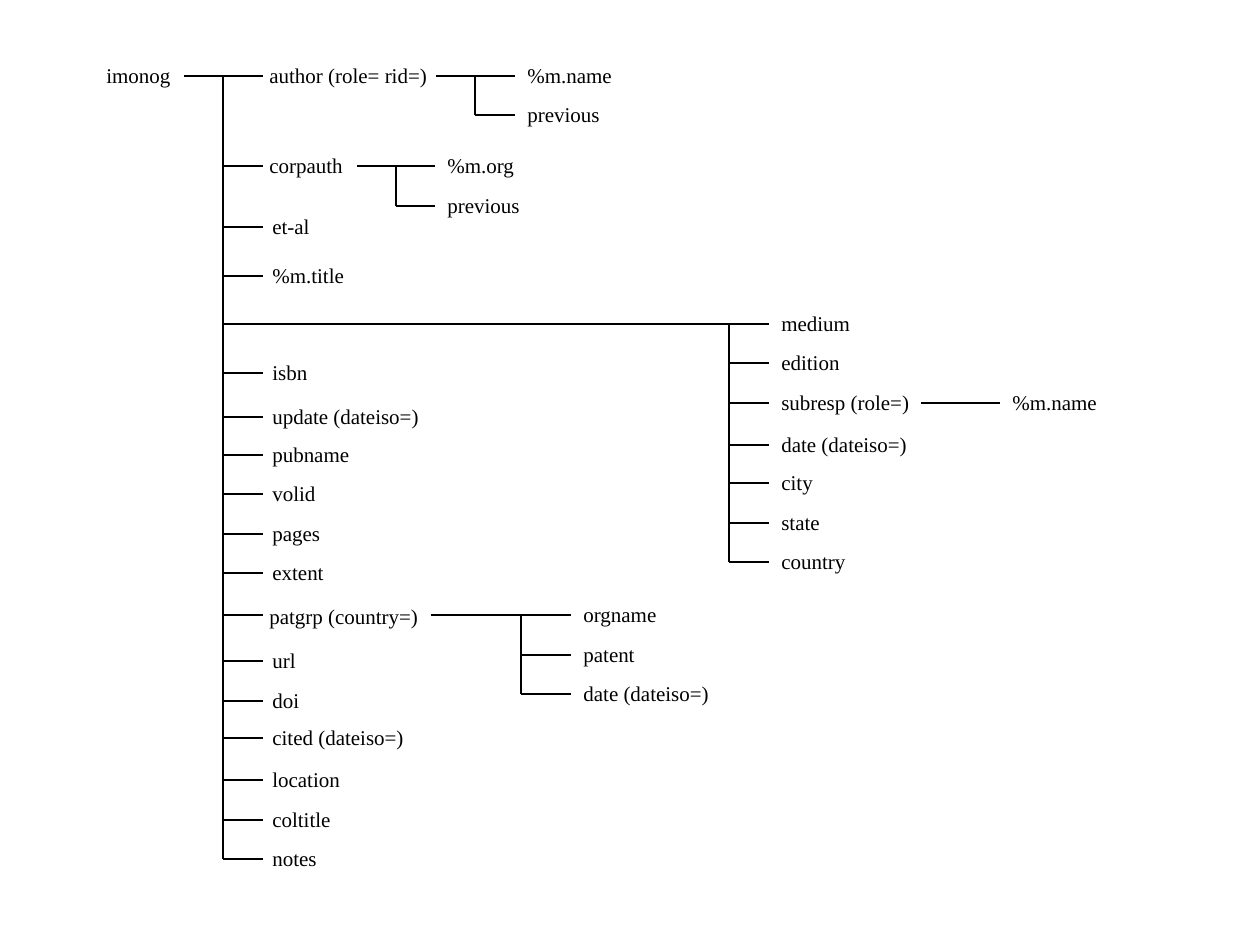
from pptx import Presentation
from pptx.dml.color import RGBColor
from pptx.enum.shapes import MSO_CONNECTOR
from pptx.enum.text import MSO_AUTO_SIZE
from pptx.oxml.ns import qn
from pptx.util import Emu, Pt
from lxml.etree import SubElement

COLORS = {"ink": "000000"}
FONT = "Times New Roman"
PX_PER_INCH = 126
LABEL_H = 38
LABEL_RISE = 20  # from the top of a label to its branch line

# Rows of each branch: line y, label, label width
MAIN = [
    (76, "author (role= rid=)", 189),
    (166, "corpauth", 100),
    (227, "et-al", 100),
    (276, "%m.title", 100),
    (373, "isbn", 112),
    (417, "update (dateiso=)", 189),
    (455, "pubname", 112),
    (494, "volid", 100),
    (534, "pages", 100),
    (573, "extent", 83),
    (615, "patgrp (country=)", 175),
    (661, "url", 100),
    (701, "doi", 100),
    (738, "cited (dateiso=)", 159),
    (780, "location", 112),
    (820, "coltitle", 112),
    (859, "notes", 112),
]
AUTHOR = [(76, "%m.name", 120), (115, "previous", 120)]
CORPAUTH = [(166, "%m.org", 100), (206, "previous", 120)]
PATGRP = [
    (615, "orgname", 120),
    (655, "patent", 120),
    (694, "date (dateiso=)", 159),
]
EDITION = [
    (324, "medium", 100),
    (363, "edition", 100),
    (403, "subresp (role=)", 179),
    (445, "date (dateiso=)", 159),
    (483, "city", 189),
    (523, "state", 189),
    (562, "country", 189),
]
SUBRESP = [(403, "%m.name", 118)]

# Main labels that start a little further left, and how far they drop
SHIFTED = {"author (role= rid=)": 0, "corpauth": 0, "patgrp (country=)": 2}


def px(n):
    return Emu(round(n * 914400 / PX_PER_INCH))


def rgb(name):
    return RGBColor.from_string(COLORS[name])


def add_line(slide, x1, y1, x2, y2):
    line = slide.shapes.add_connector(
        MSO_CONNECTOR.STRAIGHT, px(x1), px(y1), px(x2), px(y2))
    line.line.color.rgb = rgb("ink")
    line.line.width = Pt(0.75)
    SubElement(line._element.spPr, qn("a:effectLst"))


def add_label(slide, x, y, text, width):
    """Write a label whose branch line lies at y."""
    sp = slide.shapes.add_textbox(
        px(x), px(y - LABEL_RISE), px(width), px(LABEL_H))
    tf = sp.text_frame
    tf.word_wrap = True
    tf.auto_size = MSO_AUTO_SIZE.SHAPE_TO_FIT_TEXT
    p = tf.paragraphs[0]
    p.text = text
    p.font.name = FONT
    p.font.size = Pt(12)
    p.font.color.rgb = rgb("ink")


def add_branch(slide, start, spine, end, rows):
    """Draw a feeder into the first row, a spine and a stub per further row."""
    ys = [row[0] for row in rows]
    add_line(slide, start, ys[0], end, ys[0])
    if len(ys) > 1:
        add_line(slide, spine, ys[0], spine, ys[-1])
    for y in ys[1:]:
        add_line(slide, spine, y, end, y)


def add_labels(slide, x, rows):
    for y, text, width in rows:
        add_label(slide, x, y, text, width)


def main():
    prs = Presentation()
    prs.slide_width, prs.slide_height = px(1260), px(945)
    slide = prs.slides.add_slide(prs.slide_layouts[6])

    # Root and its children
    add_label(slide, 94, 76, "imonog", 100)
    add_branch(slide, 184, 223, 263, MAIN)
    for y, text, width in MAIN:
        x = 257 if text in SHIFTED else 260
        add_label(slide, x, y + SHIFTED.get(text, 0), text, width)

    # Nested branches: start, spine and end of the lines, then the rows
    for start, spine, end, rows in [
        (436, 475, 515, AUTHOR),
        (357, 396, 435, CORPAUTH),
        (431, 521, 571, PATGRP),
        (223, 729, 769, EDITION),
        (921, 960, 1000, SUBRESP),
    ]:
        add_branch(slide, start, spine, end, rows)
        add_labels(slide, end, rows)

    prs.save("out.pptx")


if __name__ == "__main__":
    main()
